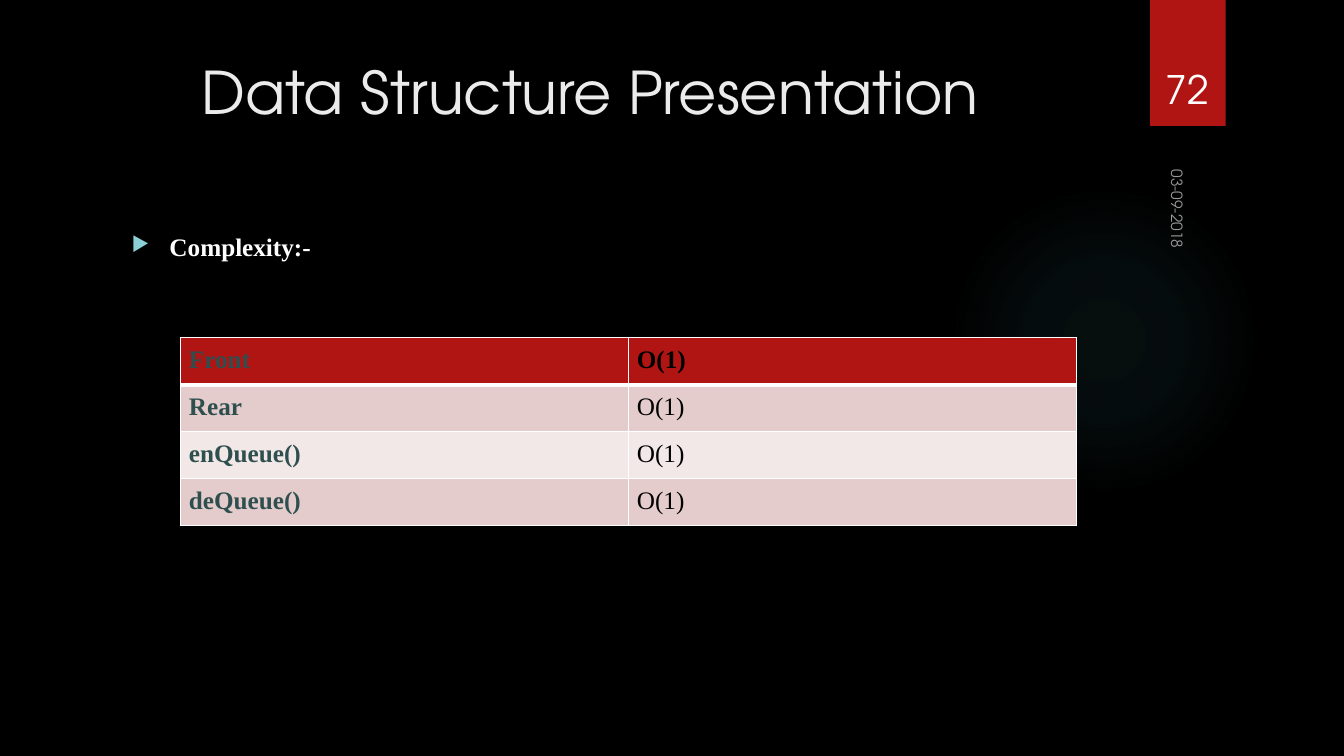
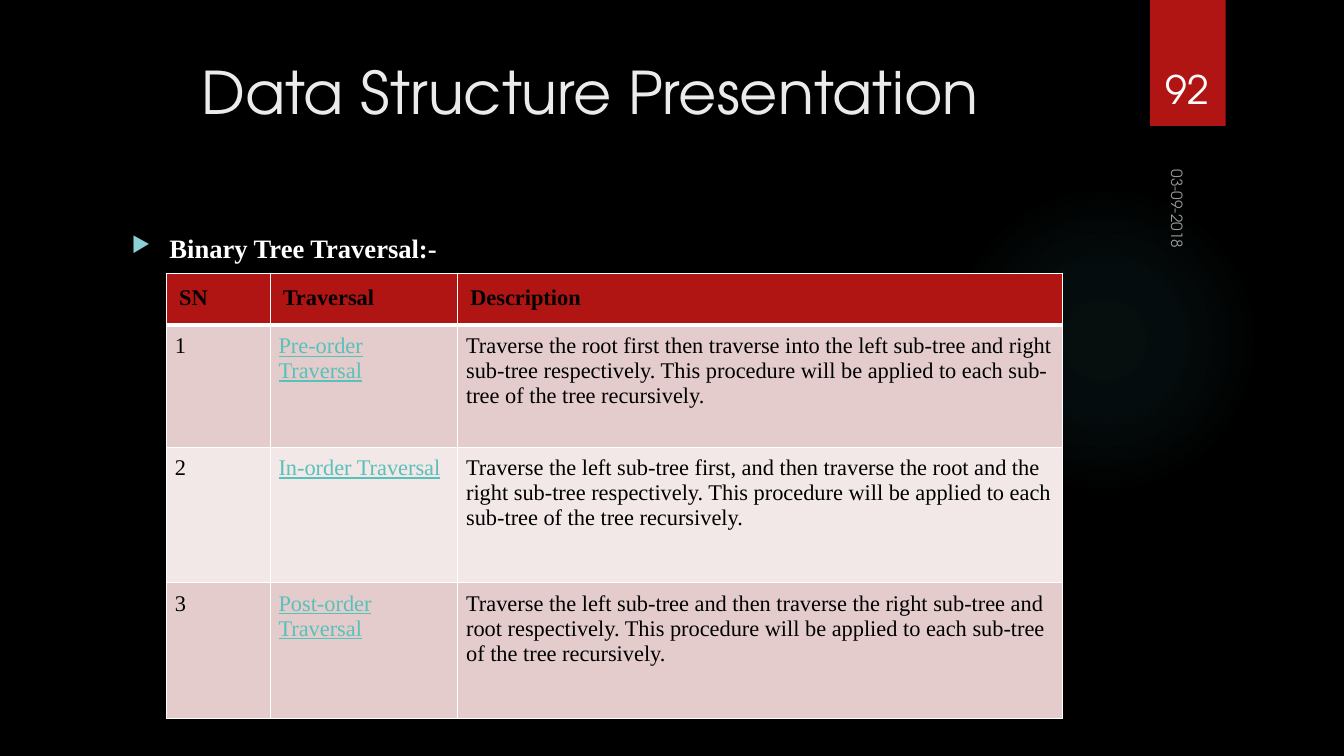
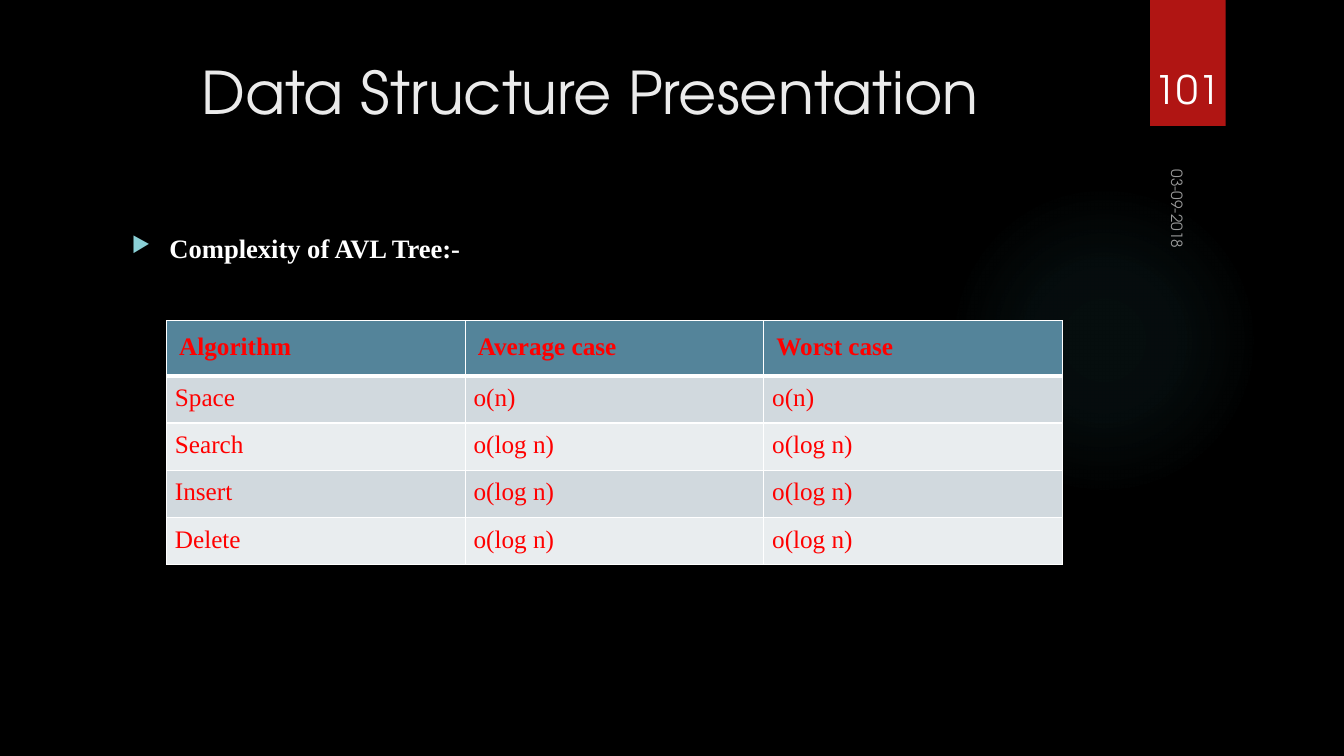
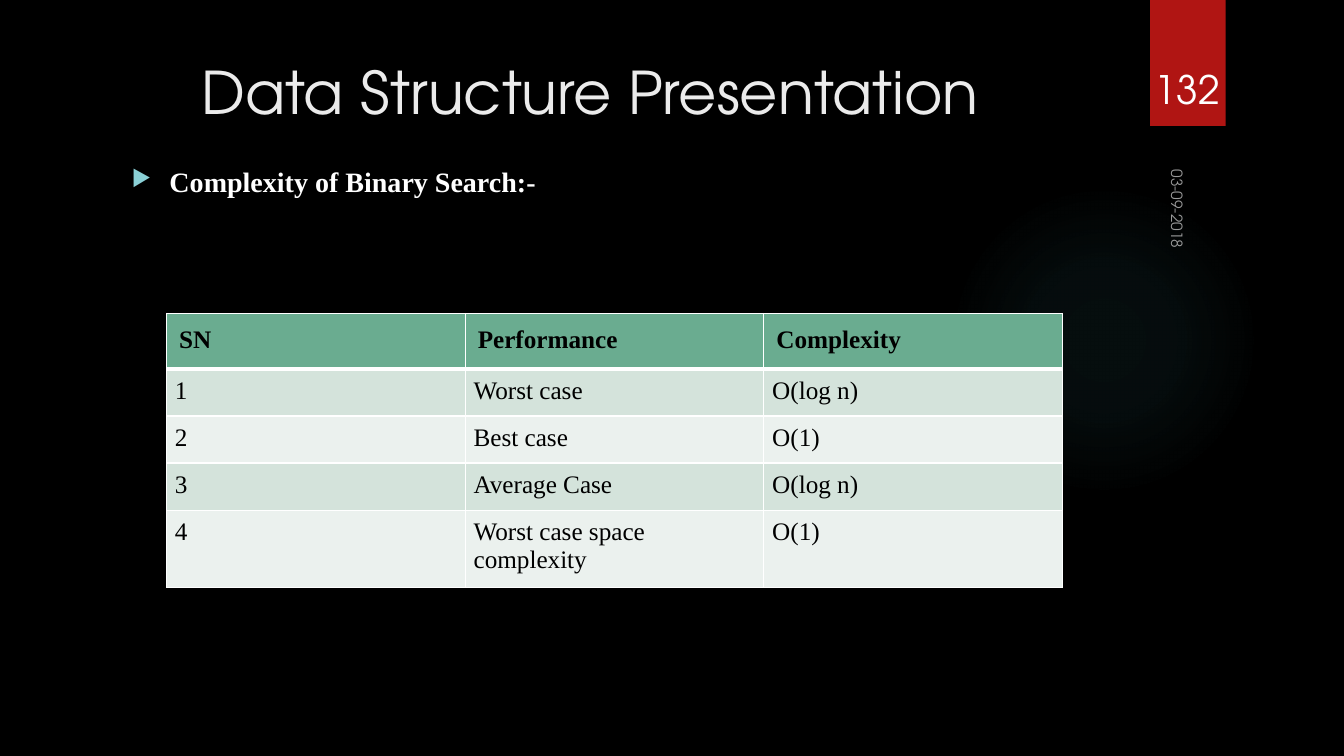
from dataclasses import dataclass
from pptx import Presentation
from pptx.dml.color import RGBColor
from pptx.enum.shapes import MSO_SHAPE
from pptx.enum.text import MSO_ANCHOR, PP_ALIGN
from pptx.oxml import parse_xml
from pptx.oxml.ns import nsdecls, qn
from pptx.util import Pt


@dataclass(frozen=True)
class Theme:
    display: str = "TeX Gyre Adventor"
    serif: str = "Times New Roman"
    title_size: int = 42
    number_size: int = 28
    date_size: int = 11
    background: str = "000000"
    title: str = "EBEBEB"
    white: str = "FFFFFF"
    black: str = "000000"
    slate: str = "2F4F4F"
    link: str = "58C1BA"
    alert: str = "FF0000"
    bullet: str = "8AD0D6"
    ribbon: str = "B01513"
    glow: str = "50B9C1"
    red_bands: tuple = ("B01513", "E4CCCC", "F2E8E7")
    blue_bands: tuple = ("54849A", "D1D9DE", "E9EDEF")
    green_bands: tuple = ("6AAC90", "D4E3DB", "EBF1EE")


@dataclass(frozen=True)
class Style:
    color: str
    bold: bool = False
    underline: bool = False


T = Theme()
TABLE_WIDTH = 640
THIRDS = [TABLE_WIDTH / 3] * 3
PLAIN = Style(T.black)
STRONG = Style(T.black, bold=True)
LABEL = Style(T.slate, bold=True)
LINK = Style(T.link, underline=True)
ALERT = Style(T.alert)
ALERT_STRONG = Style(T.alert, bold=True)


def set_font(font, name, size, style):
    font.name = name
    font.size = Pt(size)
    font.bold = style.bold
    font.underline = style.underline
    font.color.rgb = RGBColor.from_string(style.color)


def add_text(s, box, text, name, size, style, align=PP_ALIGN.LEFT, anchor=MSO_ANCHOR.TOP):
    shape = s.shapes.add_textbox(*map(Pt, box))
    tf = shape.text_frame
    tf.word_wrap = True
    tf.vertical_anchor = anchor
    p = tf.paragraphs[0]
    p.text = text
    p.alignment = align
    set_font(p.runs[0].font, name, size, style)
    return shape


def add_preset(s, kind, box):
    shape = s.shapes.add_shape(kind, *map(Pt, box))
    shape.shadow.inherit = False
    shape.line.fill.background()
    return shape


def add_glow(s):
    shape = add_preset(s, MSO_SHAPE.OVAL, (677.5, 131.8, 221.8, 221.8))
    stops = "".join(
        f'<a:gs pos="{pos}000"><a:srgbClr val="{T.glow}">'
        f'<a:alpha val="{alpha}000"/></a:srgbClr></a:gs>'
        for pos, alpha in ((0, 7), (36, 6), (69, 0))
    )
    gradient = parse_xml(
        f'<a:gradFill {nsdecls("a")} rotWithShape="1"><a:gsLst>{stops}</a:gsLst>'
        '<a:path path="circle">'
        '<a:fillToRect l="50000" t="50000" r="50000" b="50000"/></a:path></a:gradFill>'
    )
    shape._element.spPr.find(qn("a:prstGeom")).addnext(gradient)


def add_date(s, text):
    shape = add_text(s, (800, 141, 78, 24), text, T.display, T.date_size, Style(T.white))
    shape.rotation = 90
    for color in shape._element.iter(qn("a:srgbClr")):
        color.append(parse_xml(f'<a:alpha {nsdecls("a")} val="60000"/>'))


def add_slide(prs, number):
    s = prs.slides.add_slide(prs.slide_layouts[6])
    fill = s.background.fill
    fill.solid()
    fill.fore_color.rgb = RGBColor.from_string(T.background)
    add_glow(s)
    ribbon = add_preset(s, MSO_SHAPE.RECTANGLE, (821.5, 0, 54, 90))
    ribbon.fill.solid()
    ribbon.fill.fore_color.rgb = RGBColor.from_string(T.ribbon)
    add_text(s, (51, 36, 741, 110), "Data Structure Presentation", T.display,
             T.title_size, Style(T.title), PP_ALIGN.CENTER)
    add_date(s, "03-09-2018")
    add_text(s, (815, 23, 66.5, 60.5), str(number), T.display,
             T.number_size, Style(T.white), PP_ALIGN.CENTER, MSO_ANCHOR.BOTTOM)
    return s


def add_bullet(s, text, size, top=162, height=330):
    shape = add_text(s, (87, top, 704, height), text, T.serif, size, Style(T.white, bold=True))
    pPr = shape.text_frame.paragraphs[0]._p.get_or_add_pPr()
    pPr.set("marL", str(Pt(27)))
    pPr.set("indent", str(-Pt(27)))
    for xml in (
        f'<a:buClr {nsdecls("a")}><a:srgbClr val="{T.bullet}"/></a:buClr>',
        f'<a:buSzPct {nsdecls("a")} val="80000"/>',
        f'<a:buChar {nsdecls("a")} char="▶"/>',
    ):
        pPr.append(parse_xml(xml))


def set_borders(cell, top, bottom):
    tcPr = cell._tc.get_or_add_tcPr()
    for i, (side, width) in enumerate((("L", 1), ("R", 1), ("T", top), ("B", bottom))):
        tcPr.insert(i, parse_xml(
            f'<a:ln{side} {nsdecls("a")} w="{Pt(width)}"><a:solidFill>'
            f'<a:srgbClr val="{T.white}"/></a:solidFill></a:ln{side}>'
        ))


def fill_cell(cell, text, fill, size, style, inset):
    cell.fill.solid()
    cell.fill.fore_color.rgb = RGBColor.from_string(fill)
    cell.margin_left = cell.margin_right = Pt(inset)
    cell.margin_top = cell.margin_bottom = Pt(inset)
    p = cell.text_frame.paragraphs[0]
    p.text = text
    set_font(p.runs[0].font, T.serif, size, style)


def add_grid(s, left, top, widths, heights, rows, bands, head, body, size=18, head_inset=9):
    table = s.shapes.add_table(len(rows), len(widths), Pt(left), Pt(top),
                               Pt(TABLE_WIDTH), Pt(sum(heights))).table
    table.first_row = table.horz_banding = False
    for column, width in zip(table.columns, widths):
        column.width = Pt(width)
    for i, (row, height) in enumerate(zip(rows, heights)):
        table.rows[i].height = Pt(height)
        is_head = i == 0
        fill = bands[0] if is_head else bands[2 - i % 2]
        styles = head if is_head else body
        for j, text in enumerate(row):
            cell = table.cell(i, j)
            fill_cell(cell, text, fill, size, styles[j], head_inset if is_head else 6)
            set_borders(cell, 3 if i == 1 else 1, 3 if is_head else 1)


def queue_slide(prs):
    s = add_slide(prs, 72)
    add_bullet(s, "Complexity:-", 18)
    rows = [(name, "O(1)") for name in ("Front", "Rear", "enQueue()", "deQueue()")]
    add_grid(s, 129, 241.2, [TABLE_WIDTH / 2] * 2, [32] * 4, rows, T.red_bands,
             (LABEL, STRONG), (LABEL, PLAIN), head_inset=6)


def traversal_slide(prs):
    s = add_slide(prs, 92)
    add_bullet(s, "Binary Tree Traversal:-", 19)
    rows = [
        ("SN", "Traversal", "Description"),
        ("1", "Pre-order Traversal",
         "Traverse the root first then traverse into the left sub-tree and right sub-tree "
         "respectively. This procedure will be applied to each sub-tree of the tree recursively."),
        ("2", "In-order Traversal",
         "Traverse the left sub-tree first, and then traverse the root and the right sub-tree "
         "respectively. This procedure will be applied to each sub-tree of the tree recursively."),
        ("3", "Post-order Traversal",
         "Traverse the left sub-tree and then traverse the right sub-tree and root "
         "respectively. This procedure will be applied to each sub-tree of the tree recursively."),
    ]
    add_grid(s, 119, 195.2, [74, 134, 432], [35.7, 87, 97, 97], rows, T.red_bands,
             [STRONG] * 3, (PLAIN, LINK, PLAIN), size=16)


def avl_slide(prs):
    s = add_slide(prs, 101)
    add_bullet(s, "Complexity of AVL Tree:-", 19)
    rows = [("Algorithm", "Average case", "Worst case"), ("Space", "o(n)", "o(n)")]
    rows += [(name, "o(log n)", "o(log n)") for name in ("Search", "Insert", "Delete")]
    add_grid(s, 119, 229, THIRDS, [38] + [32] * 4, rows, T.blue_bands,
             [ALERT_STRONG] * 3, [ALERT] * 3)


def search_slide(prs):
    s = add_slide(prs, 132)
    add_bullet(s, "Complexity of Binary Search:-", 20, top=114, height=405)
    rows = [
        ("SN", "Performance", "Complexity"),
        ("1", "Worst case", "O(log n)"),
        ("2", "Best case", "O(1)"),
        ("3", "Average Case", "O(log n)"),
        ("4", "Worst case space complexity", "O(1)"),
    ]
    add_grid(s, 119, 224, THIRDS, [38, 32, 32, 32, 51.5], rows, T.green_bands,
             [STRONG] * 3, [PLAIN] * 3)


def main():
    prs = Presentation()
    prs.slide_width = Pt(960)
    prs.slide_height = Pt(540)
    for build in (queue_slide, traversal_slide, avl_slide, search_slide):
        build(prs)
    prs.save("out.pptx")


if __name__ == "__main__":
    main()
